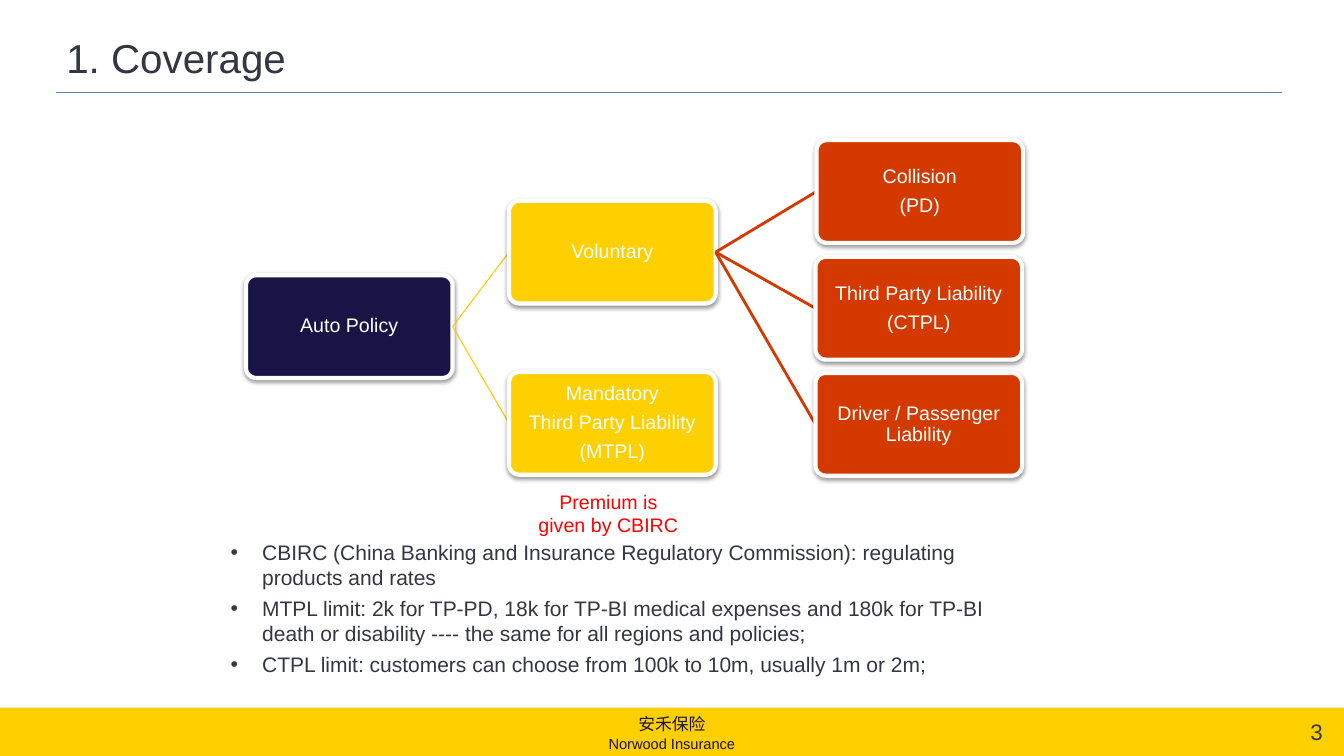
from lxml import etree
from pptx import Presentation
from pptx.dml.color import RGBColor
from pptx.enum.shapes import MSO_CONNECTOR, MSO_SHAPE
from pptx.enum.text import MSO_ANCHOR, PP_ALIGN
from pptx.oxml.ns import qn
from pptx.util import Pt

LEFT, CENTER, RIGHT = PP_ALIGN.LEFT, PP_ALIGN.CENTER, PP_ALIGN.RIGHT
COLORS = {
    "navy": "1A1446", "yellow": "FFD000", "gold": "F9CB00", "orange": "D43900",
    "text": "343741", "rule": "5381AC", "red": "FF0000", "white": "FFFFFF",
}
BOX_W, BOX_H = 147.6, 73.4


def rgb(name):
    return RGBColor.from_string(COLORS[name])


def write(sp, lines, size, color, align=LEFT, inset=None, spacing=None, after=0):
    """Fill a shape with one paragraph per line, centred vertically."""
    tf = sp.text_frame
    tf.word_wrap = True
    tf.vertical_anchor = MSO_ANCHOR.MIDDLE
    if inset is not None:
        tf.margin_left = tf.margin_right = tf.margin_top = tf.margin_bottom = Pt(inset)
    for i, line in enumerate(lines):
        p = tf.paragraphs[0] if i == 0 else tf.add_paragraph()
        p.alignment = align
        p.line_spacing = spacing
        p.space_after = Pt(after)
        r = p.add_run()
        r.text = line
        r.font.name = "Arial"
        r.font.size = Pt(size)
        r.font.color.rgb = rgb(color)


prs = Presentation()
prs.slide_width, prs.slide_height = Pt(960), Pt(540)
s = prs.slides.add_slide(prs.slide_layouts[6])
shapes = s.shapes

# Footer band
band = shapes.add_shape(MSO_SHAPE.RECTANGLE, 0, Pt(505.5), Pt(960), Pt(34.5))
band.shadow.inherit = False
band.fill.solid()
band.fill.fore_color.rgb = rgb("yellow")
band.line.fill.background()

# Title, footer, page number and premium note
labels = [
    ("1. Coverage", 40.3, 21.6, 872, 38.2, 28.8, "text", LEFT, None),
    ("安禾保险", 408, 508.3, 144, 18, 12, "navy", CENTER, 0),
    ("Norwood Insurance", 408, 522, 144, 18, 10.5, "navy", CENTER, 0),
    ("3", 880, 514.1, 72, 17.3, 16, "text", RIGHT, None),
    ("Premium is given by CBIRC", 376.6, 339.8, 115.9, 53.3, 14, "red", CENTER, None),
]
for text, x, y, w, h, size, color, align, inset in labels:
    sp = shapes.add_textbox(Pt(x), Pt(y), Pt(w), Pt(h))
    write(sp, [text], size, color, align, inset)

# Coverage tree: name -> left, top, fill, text lines
boxes = {
    "policy": (175.7, 196.6, "navy", ["Auto Policy"]),
    "voluntary": (363.6, 143.4, "yellow", ["Voluntary"]),
    "mandatory": (363.6, 265.7, "yellow", ["Mandatory", "Third Party Liability", "(MTPL)"]),
    "collision": (583.2, 100.1, "orange", ["Collision", "(PD)"]),
    "third_party": (582.5, 183.5, "orange", ["Third Party Liability", "(CTPL)"]),
    "driver": (582.5, 266.4, "orange", ["Driver / Passenger Liability"]),
}
parents = {
    "voluntary": "policy", "mandatory": "policy",
    "collision": "voluntary", "third_party": "voluntary", "driver": "voluntary",
}
branch_styles = {"policy": ("gold", 0.75), "voluntary": ("orange", 2)}

# Each line: start x, start y, end x, end y, colour, width
lines = {"title": (40.3, 66.2, 915.8, 66.2, "rule", 0.75)}
for child, parent in parents.items():
    px, py = boxes[parent][:2]
    cx, cy = boxes[child][:2]
    lines[child] = (px + BOX_W, py + BOX_H / 2, cx, cy + BOX_H / 2, *branch_styles[parent])

for name in ["title", *boxes]:
    if name in lines:
        x1, y1, x2, y2, color, width = lines[name]
        line = shapes.add_connector(MSO_CONNECTOR.STRAIGHT, Pt(x1), Pt(y1), Pt(x2), Pt(y2))
        line.line.color.rgb = rgb(color)
        line.line.width = Pt(width)
        etree.SubElement(line._element.spPr, qn("a:effectLst"))
    if name in boxes:
        x, y, color, text = boxes[name]
        sp = shapes.add_shape(MSO_SHAPE.ROUNDED_RECTANGLE, Pt(x), Pt(y), Pt(BOX_W), Pt(BOX_H))
        sp.adjustments[0] = 0.1
        sp.fill.solid()
        sp.fill.fore_color.rgb = rgb(color)
        sp.line.color.rgb = rgb("white")
        sp.line.width = Pt(3)
        sp.shadow.inherit = False
        effects = sp._element.spPr.find(qn("a:effectLst"))
        shadow = etree.SubElement(effects, qn("a:outerShdw"), blurRad=str(Pt(3.1)),
                                  dist=str(Pt(1.6)), dir="5400000", rotWithShape="0")
        black = etree.SubElement(shadow, qn("a:srgbClr"), val="000000")
        etree.SubElement(black, qn("a:alpha"), val="38000")
        write(sp, text, 14, "white", CENTER, inset=1, spacing=0.9, after=5.5)

# Notes on limits
notes = shapes.add_shape(MSO_SHAPE.RECTANGLE, Pt(157.7), Pt(384.5), Pt(578.9), Pt(99.4))
notes.shadow.inherit = False
notes.fill.solid()
notes.fill.fore_color.rgb = rgb("white")
notes.line.color.rgb = rgb("white")
notes.line.width = Pt(0.5)
write(notes, [
    "CBIRC (China Banking and Insurance Regulatory Commission): regulating products and rates",
    "MTPL limit: 2k for TP-PD, 18k for TP-BI medical expenses and 180k for TP-BI "
    "death or disability ---- the same for all regions and policies;",
    "CTPL limit: customers can choose from 100k to 10m, usually 1m or 2m;",
], 15, "text", after=4)
for p in notes.text_frame.paragraphs:
    pPr = p._p.get_or_add_pPr()
    pPr.set("marL", str(Pt(22.5)))
    pPr.set("indent", str(-Pt(22.5)))
    etree.SubElement(pPr, qn("a:buFont"), typeface="Arial")
    etree.SubElement(pPr, qn("a:buChar"), char="•")

prs.save("out.pptx")
